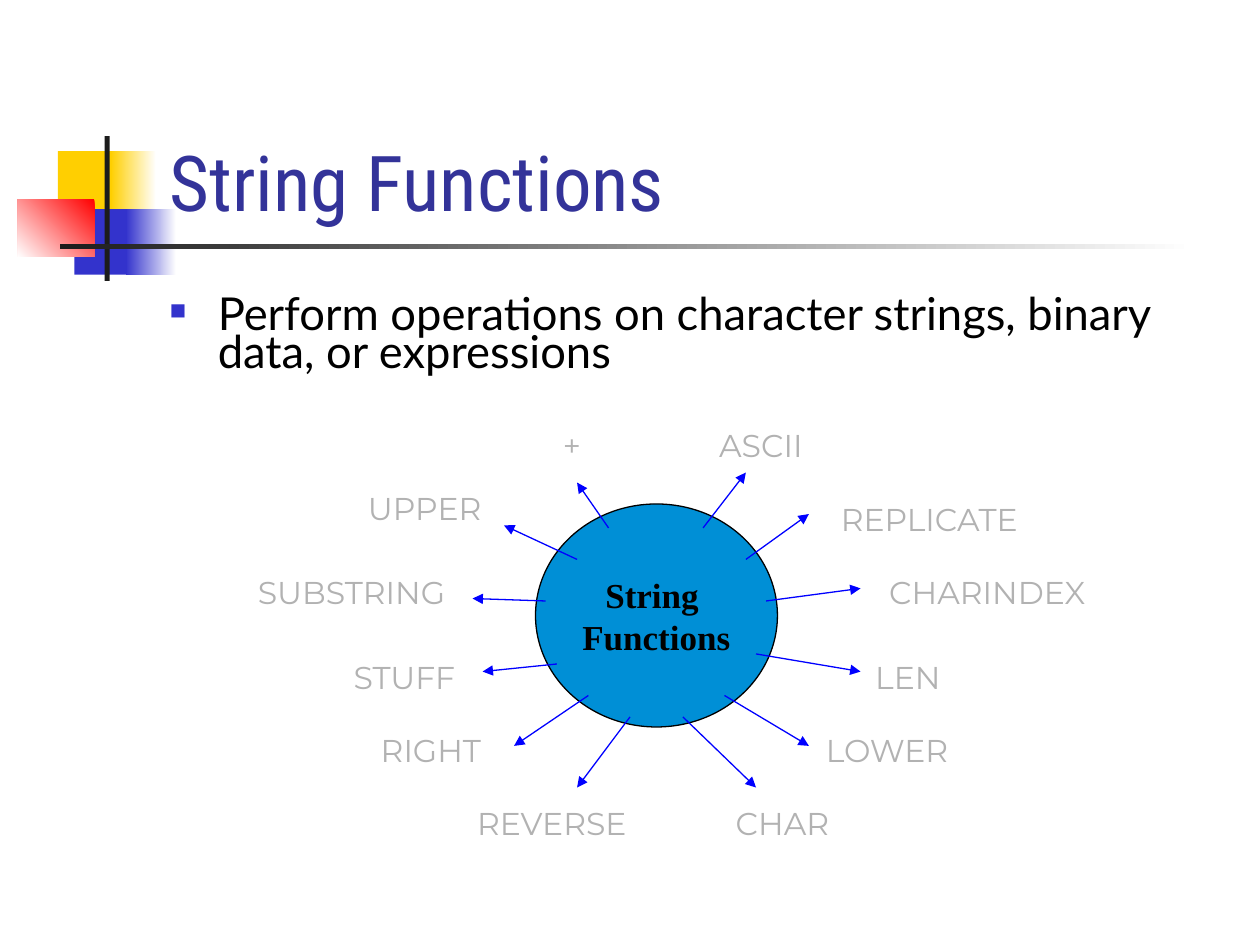
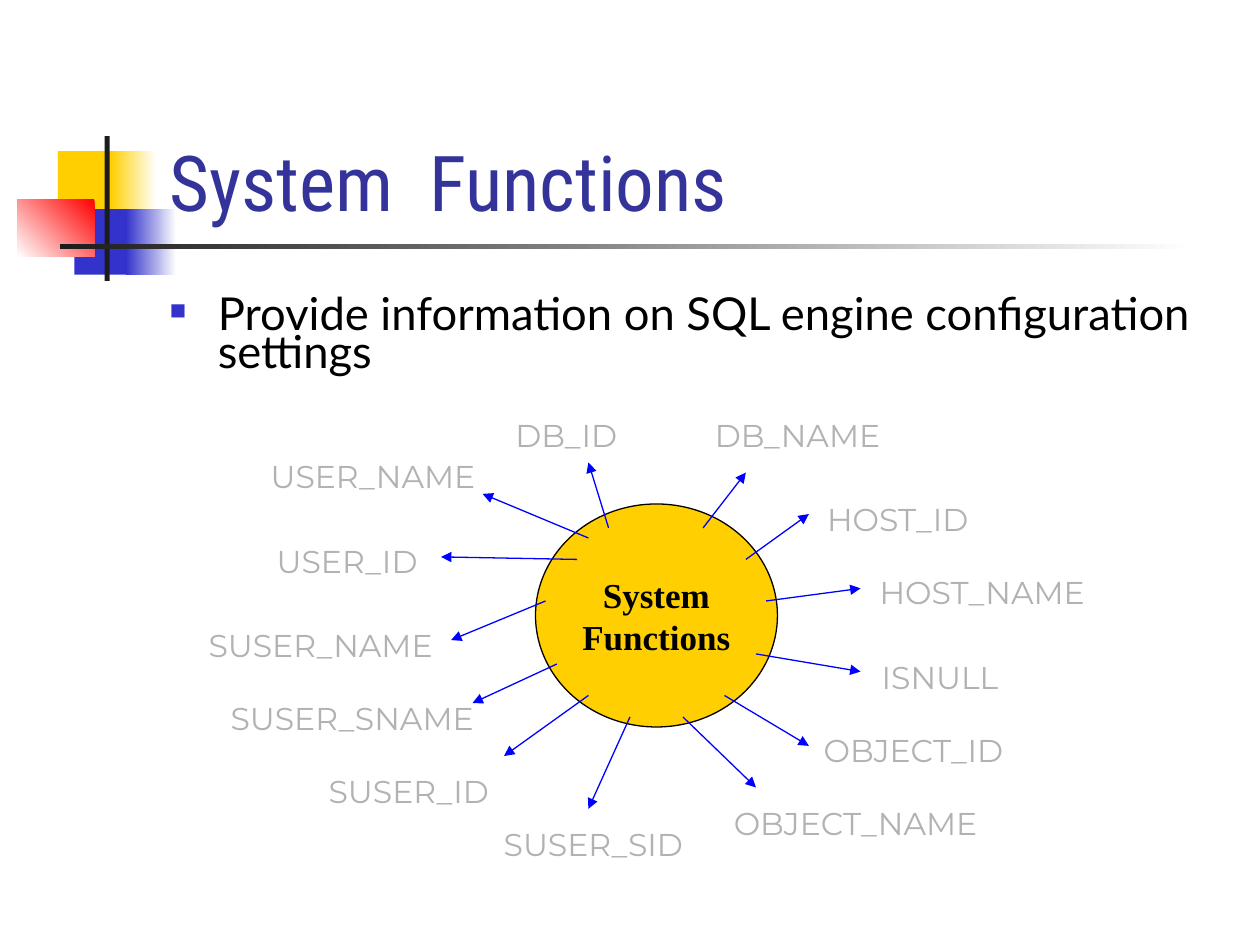
"""Builds two slides that fan SQL function names out around a central hub."""
from lxml import etree
from pptx import Presentation
from pptx.dml.color import RGBColor
from pptx.enum import shapes, text
from pptx.oxml import ns
from pptx.util import Inches, Pt

WHITE = RGBColor(0xFF, 0xFF, 0xFF)
BLACK = RGBColor(0, 0, 0)
YELLOW = RGBColor(0xFF, 0xCF, 0x01)
INDIGO = RGBColor(0x33, 0x33, 0xCC)
RED = RGBColor(0xFF, 0, 0)
CHARCOAL = RGBColor(0x1C, 0x1C, 0x1C)
NAVY = RGBColor(0x33, 0x33, 0x99)
SKY = RGBColor(0, 0x8F, 0xD6)
ARROW_BLUE = RGBColor(0, 0, 0xFF)
LABEL_GRAY = RGBColor(0xB2, 0xB2, 0xB2)

TITLE_FONT, BODY_FONT = "Roboto Condensed", "Lato"
LABEL_FONT, HUB_FONT = "Montserrat", "Times New Roman"

TITLE_BOX = (1.25, 0.6, 8.52, 1.25)
BODY_BOX = (1.25, 2.33, 8.49, 0.78)
HUB_BOX = (4.25, 4, 1.92, 1.77)
LABEL_HEIGHT, LABEL_PAD = 0.34, 0.12

# Each band: box, colours from start to end, gradient angle
BANDS = [
    ((0.46, 1.2, 0.48, 0.52), [YELLOW], 0),
    ((0.88, 1.2, 0.36, 0.52), [WHITE, YELLOW], 180),
    ((0.59, 1.66, 0.46, 0.52), [INDIGO], 0),
    ((1, 1.66, 0.4, 0.52), [WHITE, INDIGO], 180),
    ((0.14, 1.58, 0.61, 0.46), [RED, WHITE], 225),
    ((0.83, 1.08, 0.04, 1.15), [CHARCOAL], 0),
    ((0.48, 1.94, 9, 0.04), [WHITE, CHARCOAL], 180),
]

# Shared right half: label left, label top, arrow root, arrow tip
EAST_SPOKES = [
    (5.58, 3.33, (5.58, 4.19), (5.92, 3.75)),
    (6.5, 3.92, (5.92, 4.44), (6.42, 4.08)),
    (6.92, 4.5, (6.08, 4.77), (6.83, 4.67)),
    (6.92, 5.17, (6, 5.19), (6.83, 5.33)),
    (6.5, 5.75, (5.75, 5.52), (6.42, 5.92)),
    (5.75, 6.33, (5.42, 5.69), (6, 6.25)),
]

# East labels: name, width, lift. West: name, left, top, width, root, tip
SLIDES = [
    {
        "title": ["String", "Functions"],
        "extra_gap": 0,
        "body": "Perform operations on character strings, binary data, or expressions",
        "hub": ["String ", "Functions"],
        "hub_color": SKY,
        "east": [("ASCII", 0.92, 0), ("REPLICATE", 1.75, 0), ("CHARINDEX", 1.83, 0),
                 ("LEN", 0.57, 0), ("LOWER", 1.08, 0), ("CHAR", 0.92, 0)],
        "west": [
            ("REVERSE", 3.67, 6.33, 1.42, (5, 5.69), (4.58, 6.25)),
            ("RIGHT", 2.92, 5.75, 1, (4.67, 5.52), (4.08, 5.92)),
            ("STUFF", 2.67, 5.17, 1.08, (4.42, 5.27), (3.83, 5.33)),
            ("SUBSTRING", 2, 4.5, 1.58, (4.33, 4.77), (3.75, 4.75)),
            ("UPPER", 2.83, 3.83, 1.08, (4.58, 4.44), (4, 4.17)),
            ("+", 4.33, 3.33, 0.42, (4.83, 4.19), (4.58, 3.83)),
        ],
    },
    {
        "title": ["System", "Functions"],
        "extra_gap": 10,
        "body": "Provide information on SQL engine configuration settings",
        "hub": ["System", "Functions"],
        "hub_color": YELLOW,
        "east": [("DB_NAME", 1.5, 0.08), ("HOST_ID", 1.25, 0), ("HOST_NAME", 1.75, 0),
                 ("ISNULL", 1.08, 0), ("OBJECT_ID", 1.5, 0), ("OBJECT_NAME", 2.08, 0)],
        "west": [
            ("SUSER_SID", 4, 6.5, 1.42, (5, 5.69), (4.67, 6.42)),
            ("SUSER_ID", 2.58, 6.08, 1.33, (4.67, 5.52), (4, 6)),
            ("SUSER_SNAME", 1.92, 5.5, 1.75, (4.42, 5.27), (3.75, 5.58)),
            ("SUSER_NAME", 1.67, 4.92, 1.75, (4.33, 4.77), (3.58, 5.08)),
            ("USER_ID", 2.17, 4.25, 1.17, (4.58, 4.44), (3.5, 4.42)),
            ("USER_NAME", 2.17, 3.58, 1.58, (4.67, 4.27), (3.83, 3.92)),
            ("DB_ID", 4.08, 3.25, 0.83, (4.83, 4.19), (4.67, 3.67)),
        ],
    },
]


def inches(values):
    return [Inches(value) for value in values]


def add_span(para, wording, font, size, color, bold=False):
    span = para.add_run()
    span.text = wording
    span.font.name, span.font.size, span.font.bold = font, Pt(size), bold
    span.font.color.rgb = color
    return span


def add_text_box(page, box):
    frame = page.shapes.add_textbox(*inches(box)).text_frame
    frame.word_wrap = True
    return frame


def add_solid(page, kind, box):
    shape = page.shapes.add_shape(kind, *inches(box))
    shape.shadow.inherit = False
    shape.line.fill.background()
    return shape


def add_bands(page):
    for box, colors, angle in BANDS:
        fill = add_solid(page, shapes.MSO_SHAPE.RECTANGLE, box).fill
        if len(colors) == 1:
            fill.solid()
            fill.fore_color.rgb = colors[0]
        else:
            fill.gradient()
            fill.gradient_angle = angle
            for stop, color in zip(fill.gradient_stops, colors):
                stop.color.rgb = color


def add_title(page, words, extra_gap):
    frame = add_text_box(page, TITLE_BOX)
    frame.vertical_anchor = text.MSO_ANCHOR.BOTTOM
    para = frame.paragraphs[0]
    first, second = words
    add_span(para, first, TITLE_FONT, 44, NAVY)
    gap = add_span(para, " ", TITLE_FONT, 44, NAVY)
    if extra_gap:
        gap.font._element.set("spc", str(extra_gap * 100))
    add_span(para, second, TITLE_FONT, 44, NAVY)


def add_body(page, wording):
    para = add_text_box(page, BODY_BOX).paragraphs[0]
    para.line_spacing = 0.7
    props = para._p.get_or_add_pPr()
    props.set("marL", str(Inches(0.38)))
    props.set("indent", str(Inches(-0.38)))
    color = etree.SubElement(props, ns.qn("a:buClr"))
    etree.SubElement(color, ns.qn("a:srgbClr"), val=str(INDIGO))
    etree.SubElement(props, ns.qn("a:buSzPct"), val="60000")
    etree.SubElement(props, ns.qn("a:buFont"), typeface=HUB_FONT)
    etree.SubElement(props, ns.qn("a:buChar"), char="■")
    add_span(para, wording, BODY_FONT, 25.9, BLACK)


def add_hub(page, lines, color):
    hub = add_solid(page, shapes.MSO_SHAPE.OVAL, HUB_BOX)
    hub.fill.solid()
    hub.fill.fore_color.rgb = color
    hub.line.color.rgb, hub.line.width = BLACK, Pt(0.75)
    frame = hub.text_frame
    frame.word_wrap = False
    frame.vertical_anchor = text.MSO_ANCHOR.MIDDLE
    for index, line in enumerate(lines):
        para = frame.add_paragraph() if index else frame.paragraphs[0]
        para.alignment = text.PP_ALIGN.CENTER
        add_span(para, line, HUB_FONT, 20, BLACK, bold=True)


def add_spoke(page, name, left, top, width, root, tip):
    frame = add_text_box(
        page, (left - LABEL_PAD, top, width + 2 * LABEL_PAD, LABEL_HEIGHT))
    frame.margin_left = frame.margin_right = 0
    para = frame.paragraphs[0]
    para.alignment = text.PP_ALIGN.CENTER
    add_span(para, name, LABEL_FONT, 18, LABEL_GRAY)
    arrow = page.shapes.add_connector(
        shapes.MSO_CONNECTOR.STRAIGHT, *inches(root + tip))
    arrow.line.color.rgb, arrow.line.width = ARROW_BLUE, Pt(0.75)
    etree.SubElement(arrow.line._get_or_add_ln(), ns.qn("a:tailEnd"), type="triangle")
    etree.SubElement(arrow._element.spPr, ns.qn("a:effectLst"))


def main():
    deck = Presentation()
    deck.slide_width, deck.slide_height = Inches(10), Inches(7.5)
    for content in SLIDES:
        page = deck.slides.add_slide(deck.slide_layouts[6])
        add_bands(page)
        add_title(page, content["title"], content["extra_gap"])
        add_body(page, content["body"])
        add_hub(page, content["hub"], content["hub_color"])
        for (name, width, lift), (left, top, root, tip) in zip(content["east"], EAST_SPOKES):
            add_spoke(page, name, left, top - lift, width, root, tip)
        for spoke in content["west"]:
            add_spoke(page, *spoke)
    deck.save("out.pptx")


if __name__ == "__main__":
    main()
